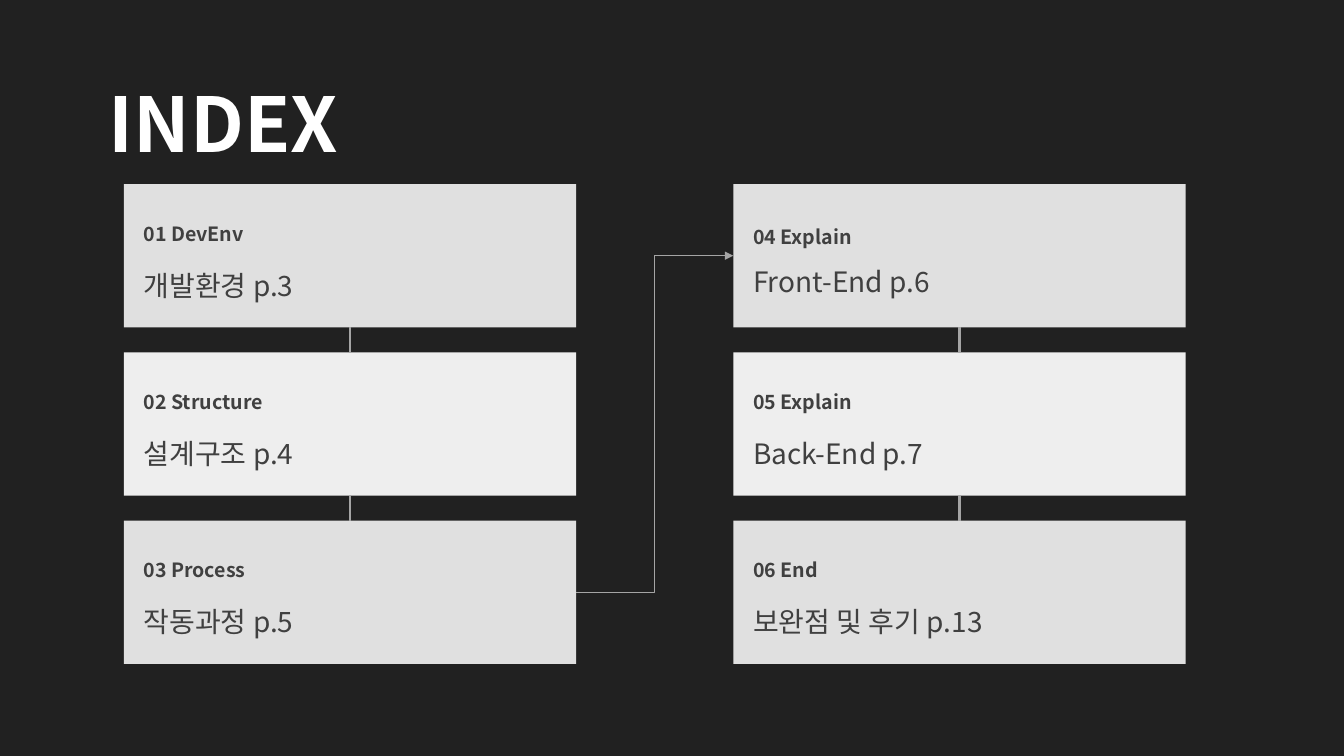
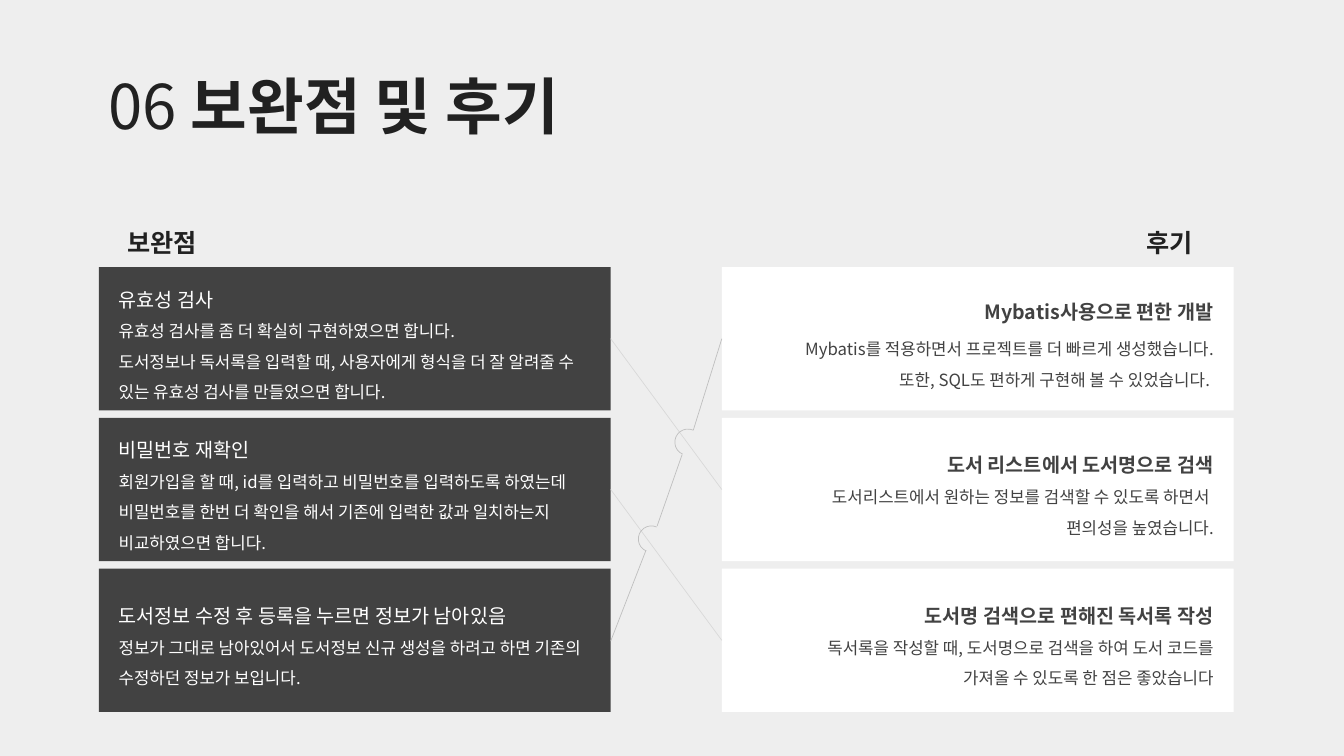
from collections import namedtuple

from lxml.etree import SubElement
from pptx import Presentation
from pptx.dml.color import RGBColor
from pptx.enum.shapes import MSO_CONNECTOR as Link, MSO_SHAPE as Preset
from pptx.enum.text import MSO_ANCHOR as Anchor, PP_ALIGN as Align
from pptx.oxml.ns import qn
from pptx.util import Cm, Pt

FONT = "Noto Sans CJK KR"
COLORS = {
    "ink": "212121", "dark": "424242", "text": "404040", "white": "FFFFFF",
    "light": "EEEEEE", "silver": "E0E0E0", "flow": "A5A5A5",
    "cross": "D9D9D9", "hop": "BFBFBF",
}
BOTTOM, LEFT, RIGHT, TOP = 2, 1, 3, 0

Box = namedtuple("Box", "left top width height")
Look = namedtuple("Look", "fill color align heading_bold heading_size body_size")

TITLE_BOX = Box(2.49, 0.66, 13.41, 3)
INDEX_COLUMNS = [
    [("01 DevEnv", "개발환경 p.3", 4.3), ("02 Structure", "설계구조 p.4", 4.3),
     ("03 Process", "작동과정 p.5", 4.3)],
    [("04 Explain", "Front-End p.6", 0), ("05 Explain", "Back-End p.7", 4.3),
     ("06 End", "보완점 및 후기 p.13", 4.3)],
]
IMPROVEMENTS = [
    ("유효성 검사",
     ["유효성 검사를 좀 더 확실히 구현하였으면 합니다.",
      "도서정보나 독서록을 입력할 때, 사용자에게 형식을 더 잘 알려줄 수 있는 유효성 검사를 만들었으면 합니다."], 0),
    ("비밀번호 재확인",
     ["회원가입을 할 때, id를 입력하고 비밀번호를 입력하도록 하였는데 비밀번호를 한번 더 확인을 해서 "
      "기존에 입력한 값과 일치하는지 비교하였으면 합니다."], 0),
    ("도서정보 수정 후 등록을 누르면 정보가 남아있음",
     ["정보가 그대로 남아있어서 도서정보 신규 생성을 하려고 하면 기존의 수정하던 정보가 보입니다."], 0),
]
REVIEWS = [
    ("Mybatis사용으로 편한 개발",
     ["Mybatis를 적용하면서 프로젝트를 더 빠르게 생성했습니다.",
      "또한, SQL도 편하게 구현해 볼 수 있었습니다. "], 4.3),
    ("도서 리스트에서 도서명으로 검색",
     ["도서리스트에서 원하는 정보를 검색할 수 있도록 하면서 ", "편의성을 높였습니다."], 0),
    ("도서명 검색으로 편해진 독서록 작성",
     ["독서록을 작성할 때, 도서명으로 검색을 하여 도서 코드를",
      "가져올 수 있도록 한 점은 좋았습니다"], 0),
]


def rgb(name):
    """Return the named colour."""
    return RGBColor.from_string(COLORS[name])


def place(box):
    """Return the four lengths of a box."""
    return [Cm(value) for value in box]


def style_span(span, size, color, bold=False):
    """Set font, size, colour and weight of one run."""
    span.font.name = FONT
    span.font.size = Pt(size)
    span.font.bold = bold
    span.font.color.rgb = rgb(color)
    SubElement(span.font._element, qn("a:ea"), typeface=FONT)


def style_para(para, size, color, bold=False, align=Align.LEFT):
    """Set the line spacing, alignment and runs of a paragraph."""
    para.alignment = align
    para.line_spacing = 1.5
    for span in para.runs:
        style_span(span, size, color, bold)


def add_page(deck, color):
    """Add a blank slide with a plain background."""
    page = deck.slides.add_slide(deck.slide_layouts[6])
    page.background.fill.solid()
    page.background.fill.fore_color.rgb = rgb(color)
    return page


def add_label(page, box, text, size, color, bold=True, align=Align.LEFT, wrap=True):
    """Add a one-line text box and return its paragraph."""
    frame = page.shapes.add_textbox(*place(box)).text_frame
    frame.word_wrap = wrap
    frame.text = text
    para = frame.paragraphs[0]
    style_para(para, size, color, bold, align)
    return para


def add_card(page, box, look, heading, lines, gap):
    """Add a filled box with a heading and body lines."""
    card = page.shapes.add_shape(Preset.RECTANGLE, *place(box))
    card.shadow.inherit = False
    card.fill.solid()
    card.fill.fore_color.rgb = rgb(look.fill)
    card.line.fill.background()
    frame = card.text_frame
    frame.word_wrap = True
    frame.vertical_anchor = Anchor.MIDDLE
    if look.align == Align.RIGHT:
        frame.margin_right = Cm(0.5)
    else:
        frame.margin_left = Cm(0.5)
    frame.text = "\n".join([heading, *lines])
    first, *rest = frame.paragraphs
    style_para(first, look.heading_size, look.color, look.heading_bold, look.align)
    for para in rest:
        style_para(para, look.body_size, look.color, False, look.align)
    rest[0].space_before = Pt(gap)
    return card


def add_column(page, box, pitch, looks, entries):
    """Stack cards downwards from the given first box."""
    return [add_card(page, box._replace(top=box.top + row * pitch), look, *entry)
            for row, (look, entry) in enumerate(zip(looks, entries))]


def add_link(page, color, width, start=(0, 0), end=(0, 0), kind=Link.STRAIGHT):
    """Add a plain connector between two points."""
    link = page.shapes.add_connector(kind, *place(start + end))
    link.line.color.rgb = rgb(color)
    link.line.width = Pt(width)
    SubElement(link._element.spPr, qn("a:effectLst"))
    return link


def join(link, source, source_site, target, target_site):
    """Attach a connector to two cards."""
    link.begin_connect(source, source_site)
    link.end_connect(target, target_site)


def add_hopping_line(page, left, top):
    """Draw the rising line that hops over the two crossing lines."""
    segments = [((0, 7.62), (0.89, 5.33)), ((1.17, 4.72), (1.8, 2.92)),
                ((2.08, 2.31), (2.8, 0))]
    for start, end in segments:
        add_link(page, "hop", 0.5, (left + start[0], top + start[1]),
                 (left + end[0], top + end[1]))
    for x, y in [(0.71, 4.65), (1.63, 2.21)]:
        hop = page.shapes.add_shape(Preset.LEFT_BRACKET,
                                    *place((left + x, top + y, 0.33, 0.66)))
        hop.shadow.inherit = False
        hop.adjustments[0] = 1.02
        hop.rotation = 23.7
        hop.fill.background()
        hop.line.color.rgb = rgb("hop")
        hop.line.width = Pt(0.5)


def build_index(deck):
    """Build the index slide with two linked columns."""
    page = add_page(deck, "ink")
    add_label(page, TITLE_BOX, "INDEX", 54, "white")
    looks = [Look(fill, "text", Align.LEFT, True, 14, 20)
             for fill in ("silver", "light", "silver")]
    columns = []
    for left, entries in zip((3.12, 18.48), INDEX_COLUMNS):
        cards = add_column(page, Box(left, 4.64, 11.4, 3.61), 4.24, looks,
                           [(heading, [body], gap) for heading, body, gap in entries])
        for upper, lower in zip(cards, cards[1:]):
            join(add_link(page, "flow", 1.5), upper, BOTTOM, lower, TOP)
        columns.append(cards)
    arrow = add_link(page, "flow", 1, kind=Link.ELBOW)
    join(arrow, columns[0][-1], RIGHT, columns[1][0], LEFT)
    SubElement(arrow.line._get_or_add_ln(), qn("a:tailEnd"), type="triangle")


def build_review(deck):
    """Build the slide that sets improvements against reviews."""
    page = add_page(deck, "light")
    title = add_label(page, TITLE_BOX, "06 ", 44, "ink", bold=False)
    name = title.add_run()
    name.text = "보완점 및 후기"
    style_span(name, 44, "ink", True)
    for text, left, width in [("보완점", 2.87, 2.44), ("후기", 28.58, 1.8)]:
        add_label(page, Box(left, 5.23, width, 1.27), text, 18, "ink",
                  align=Align.CENTER, wrap=False)
    first, pitch = Box(2.49, 6.73, 12.9, 3.61), 3.8
    dark = Look("dark", "white", Align.LEFT, False, 14, 12)
    pale = Look("white", "dark", Align.RIGHT, True, 14, 12)
    improvements = add_column(page, first, pitch, [dark] * 3, IMPROVEMENTS)
    reviews = add_column(page, first._replace(left=18.19), pitch, [pale] * 3, REVIEWS)
    for source, target in zip(improvements, reviews[1:]):
        join(add_link(page, "cross", 0.5), source, RIGHT, target, LEFT)
    add_hopping_line(page, first.left + first.width, first.top + first.height / 2)


def main():
    """Build and save the deck."""
    deck = Presentation()
    deck.slide_width, deck.slide_height = Cm(33.87), Cm(19.05)
    build_index(deck)
    build_review(deck)
    deck.save("out.pptx")


if __name__ == "__main__":
    main()
